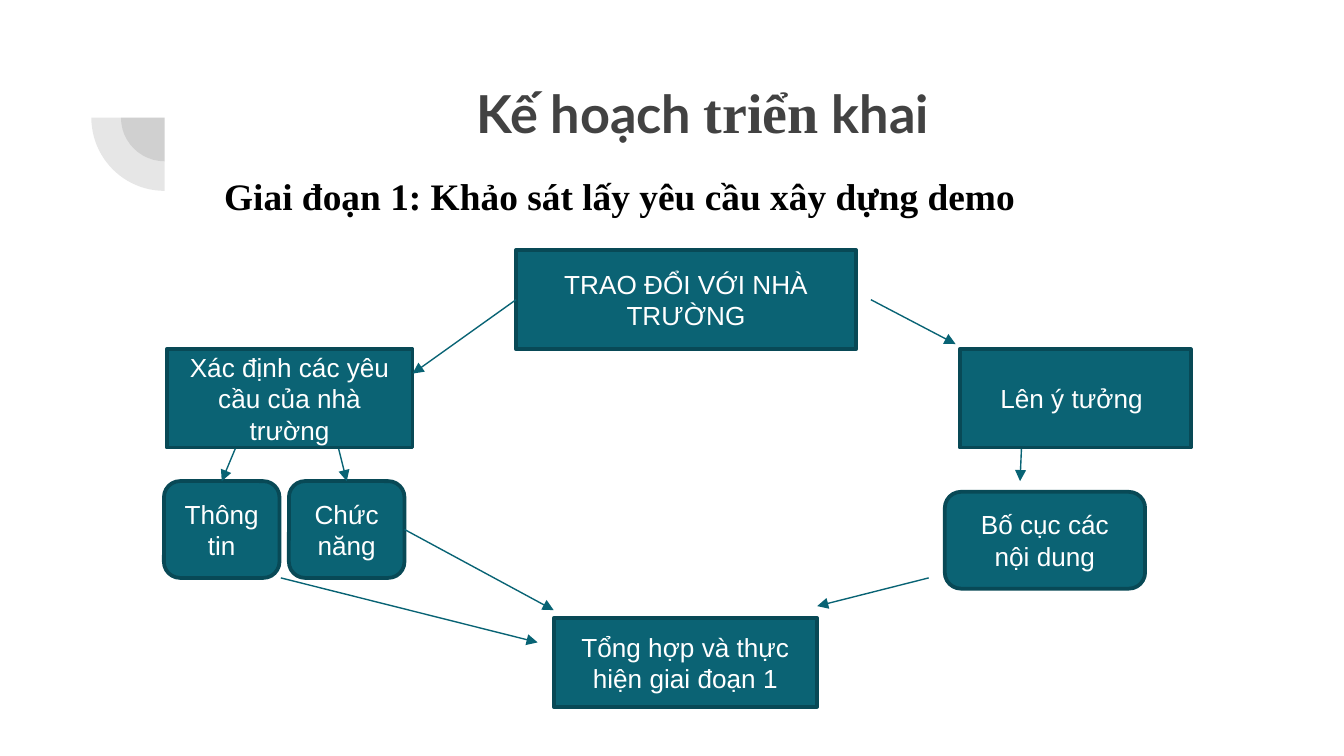
from lxml import etree
from pptx import Presentation
from pptx.dml.color import RGBColor
from pptx.enum import shapes, text
from pptx.oxml.ns import qn
from pptx.util import Inches, Pt

WHITE = RGBColor(0xFF, 0xFF, 0xFF)
BLACK = RGBColor(0, 0, 0)
GRAY = RGBColor(0x42, 0x42, 0x42)
TEAL = RGBColor(0x0B, 0x63, 0x74)
DARK_TEAL = RGBColor(0x08, 0x49, 0x56)
ARROW_TEAL = RGBColor(0x08, 0x63, 0x74)

RECT = shapes.MSO_SHAPE.RECTANGLE
ROUNDED = shapes.MSO_SHAPE.ROUNDED_RECTANGLE
LEFT, TOP, RIGHT = 1, 0, 3  # connection sites

# name: (shape, wording, left, top, width, height), relative to the flowchart
STEPS = {
    "discussion": (RECT, "TRAO ĐỔI VỚI NHÀ TRƯỜNG", 2.62, 0, 2.53, 0.74),
    "requirements": (RECT, "Xác định các yêu cầu của nhà trường", 0.02, 0.74, 1.83, 0.73),
    "ideas": (RECT, "Lên ý tưởng ", 5.92, 0.74, 1.72, 0.73),
    "summary": (RECT, "Tổng hợp và thực hiện giai đoạn 1", 2.9, 2.74, 1.96, 0.66),
    "information": (ROUNDED, "Thông tin", 0, 1.72, 0.86, 0.72),
    "functions": (ROUNDED, "Chức năng", 0.93, 1.72, 0.86, 0.72),
    "layout": (ROUNDED, "Bố cục các nội dung", 5.81, 1.8, 1.49, 0.72),
}

# start, end, joined start, joined end
ARROWS = [
    ((2.62, 0.37), (1.85, 0.92), ("discussion", LEFT), None),
    ((5.26, 0.37), (5.89, 0.7), None, None),
    ((1.3, 1.48), (1.36, 1.72), None, ("functions", TOP)),
    ((0.53, 1.48), (0.43, 1.72), None, ("information", TOP)),
    ((6.38, 1.48), (6.37, 1.72), None, None),
    ((5.69, 2.44), (4.86, 2.65), None, None),
    ((1.79, 2.08), (2.9, 2.68), ("functions", RIGHT), None),
    ((0.87, 2.44), (2.78, 2.92), None, None),
]


def style_run(run, size, font, color, bold=False):
    run.font.size = Pt(size)
    run.font.name = font
    run.font.color.rgb = color
    run.font.bold = bold


def add_corner_arcs(slide, left, top, size):
    """Translucent quarter circles sharing the centre of the given square."""
    for diameter in (0.65, size):
        offset = (size - diameter) / 2
        arc = slide.shapes.add_shape(
            shapes.MSO_SHAPE.PIE, Inches(left + offset), Inches(top + offset),
            Inches(diameter), Inches(diameter))
        arc.adjustments[0] = 108
        arc.adjustments[1] = 162
        arc.rotation = 270
        arc.shadow.inherit = False
        arc.line.fill.background()
        arc.fill.solid()
        arc.fill.fore_color.rgb = GRAY
        color = arc.fill._xPr.find(qn("a:solidFill"))[0]
        etree.SubElement(color, qn("a:alpha"), val="13000")


def place_title(slide, left, top, width, height):
    title = slide.shapes.title
    title.left, title.top = Inches(left), Inches(top)
    title.width, title.height = Inches(width), Inches(height)
    frame = title.text_frame
    frame.word_wrap = True
    frame.auto_size = text.MSO_AUTO_SIZE.NONE
    frame.vertical_anchor = text.MSO_ANCHOR.TOP
    frame.margin_left = frame.margin_right = Inches(0.1)
    frame.margin_top = frame.margin_bottom = Inches(0.1)
    paragraph = frame.paragraphs[0]
    paragraph.alignment = text.PP_ALIGN.CENTER
    paragraph.line_spacing = 1.0
    for words, size, font in (("Kế hoạch ", 28, "Lato"),
                              ("triển", 30, "Times New Roman"),
                              (" khai ", 28, "Lato")):
        run = paragraph.add_run()
        run.text = words
        style_run(run, size, font, GRAY, bold=True)


def add_phase_heading(slide, left, top, width, height):
    heading = slide.shapes.add_textbox(
        Inches(left), Inches(top), Inches(width), Inches(height))
    frame = heading.text_frame
    frame.word_wrap = True
    frame.auto_size = text.MSO_AUTO_SIZE.SHAPE_TO_FIT_TEXT
    frame.text = "Giai đoạn 1: Khảo sát lấy yêu cầu xây dựng demo"
    style_run(frame.paragraphs[0].runs[0], 20, "Times New Roman", BLACK, bold=True)


def add_step(slide, kind, words, left, top, width, height):
    step = slide.shapes.add_shape(
        kind, Inches(left), Inches(top), Inches(width), Inches(height))
    step.shadow.inherit = False
    step.fill.solid()
    step.fill.fore_color.rgb = TEAL
    step.line.color.rgb = DARK_TEAL
    step.line.width = Pt(2)
    frame = step.text_frame
    frame.word_wrap = True
    frame.vertical_anchor = text.MSO_ANCHOR.MIDDLE
    frame.text = words
    paragraph = frame.paragraphs[0]
    paragraph.alignment = text.PP_ALIGN.CENTER
    style_run(paragraph.runs[0], 14, "Arial", WHITE)
    return step


def add_arrow(slide, x1, y1, x2, y2):
    arrow = slide.shapes.add_connector(
        shapes.MSO_CONNECTOR.STRAIGHT, Inches(x1), Inches(y1), Inches(x2), Inches(y2))
    arrow.line.color.rgb = ARROW_TEAL
    arrow.line.width = Pt(0.75)
    etree.SubElement(arrow.line._get_or_add_ln(), qn("a:tailEnd"), type="triangle")
    etree.SubElement(arrow._element.spPr, qn("a:effectLst"))
    return arrow


def add_flowchart(slide, left, top):
    steps = {name: add_step(slide, kind, words, left + x, top + y, width, height)
             for name, (kind, words, x, y, width, height) in STEPS.items()}
    for (x1, y1), (x2, y2), source, target in ARROWS:
        arrow = add_arrow(slide, left + x1, top + y1, left + x2, top + y2)
        if source:
            arrow.begin_connect(steps[source[0]], source[1])
        if target:
            arrow.end_connect(steps[target[0]], target[1])


def main():
    deck = Presentation()
    deck.slide_width = Inches(10)
    deck.slide_height = deck.slide_width * 9 // 16
    slide = deck.slides.add_slide(deck.slide_layouts[5])
    add_corner_arcs(slide, 0.68, 0.33, 1.09)
    place_title(slide, 1.43, 0.48, 7.69, 0.55)
    add_phase_heading(slide, 1.57, 1.24, 7.07, 0.44)
    add_flowchart(slide, 1.22, 1.86)
    deck.save("out.pptx")


if __name__ == "__main__":
    main()
